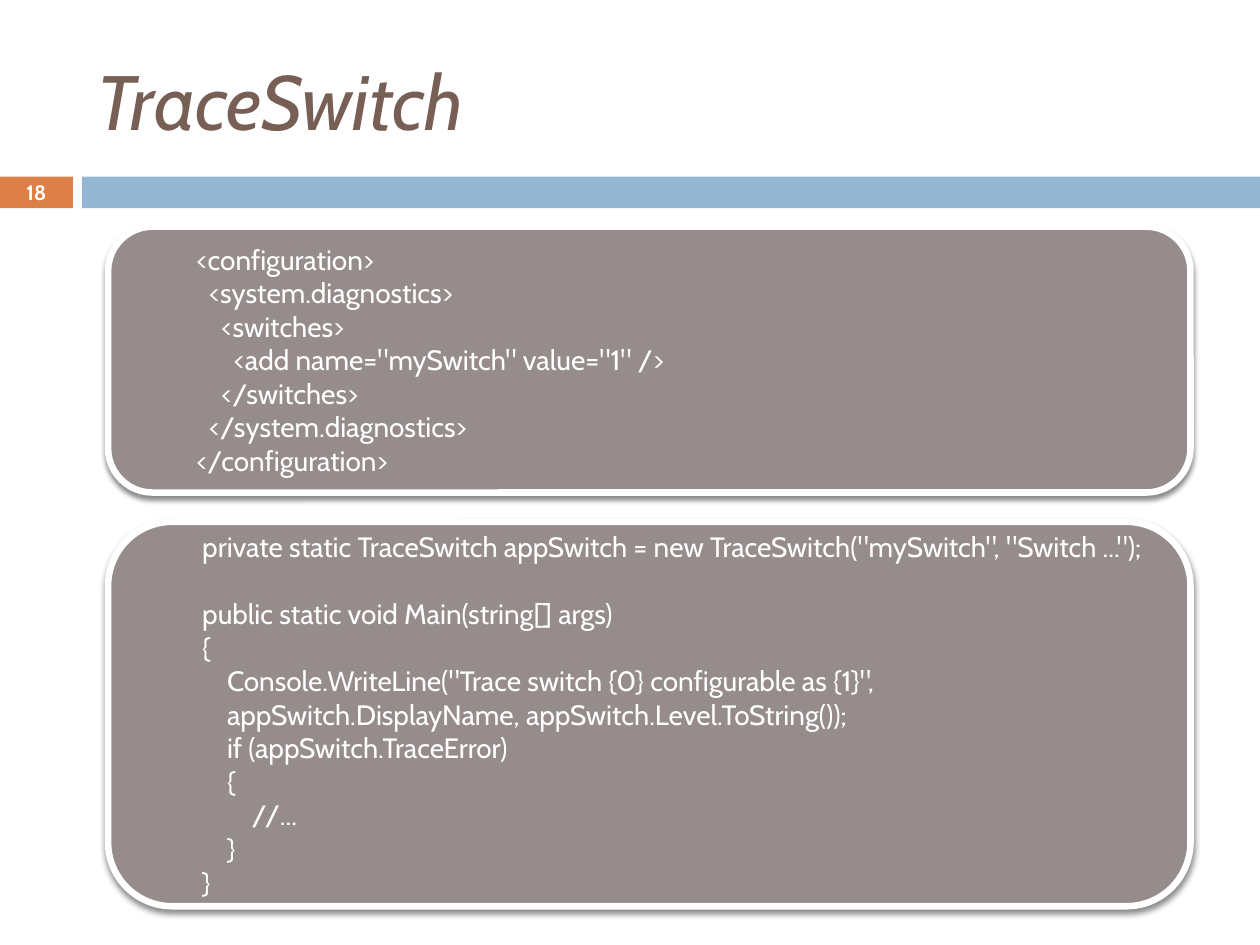
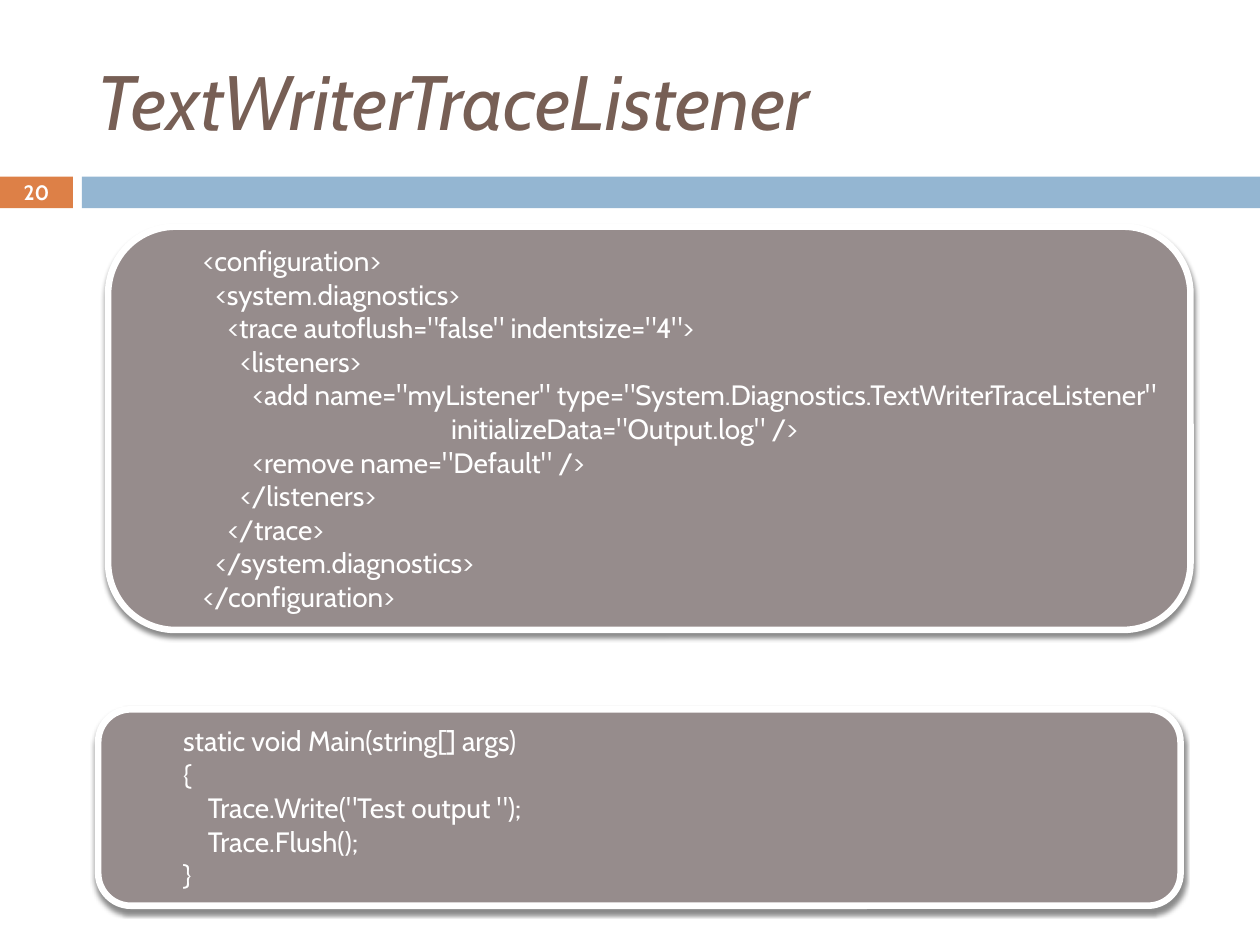
from pptx import Presentation
from pptx.dml.color import RGBColor
from pptx.enum.shapes import MSO_SHAPE as Shape
from pptx.enum.text import MSO_ANCHOR as Anchor, MSO_AUTO_SIZE as AutoSize, PP_ALIGN as Align
from pptx.oxml import parse_xml
from pptx.oxml.ns import nsdecls
from pptx.util import Cm, Pt

# Content: every code line is (indent steps, text); an empty text leaves a line free
SLIDES = [
    {
        "title": "TraceSwitch",
        "number": "18",
        "panels": [
            {
                "box": (2.18, 4.57, 5.36),  # left, top, height
                "code": [
                    (0, '<configuration>'),
                    (1, '<system.diagnostics>'),
                    (2, '<switches>'),
                    (3, '<add name="mySwitch" value="1" />'),
                    (2, '</switches>'),
                    (1, '</system.diagnostics>'),
                    (0, '</configuration>'),
                ],
            },
            {
                "box": (2.18, 10.52, 7.75),
                "code": [
                    (0, 'private static TraceSwitch appSwitch = new TraceSwitch("mySwitch", "Switch ...");'),
                    (0, ''),
                    (0, 'public static void Main(string[] args)'),
                    (0, '{'),
                    (2, 'Console.WriteLine("Trace switch {0} configurable as {1}",'),
                    (2, 'appSwitch.DisplayName, appSwitch.Level.ToString());'),
                    (2, 'if (appSwitch.TraceError)'),
                    (2, '{'),
                    (4, '//...'),
                    (2, '}'),
                    (0, '}'),
                ],
            },
        ],
    },
    {
        "title": "TextWriterTraceListener",
        "number": "20",
        "panels": [
            {
                "box": (2.18, 4.57, 8.13),
                "code": [
                    (0, '<configuration>'),
                    (1, '<system.diagnostics>'),
                    (2, '<trace autoflush="false" indentsize="4">'),
                    (3, '<listeners>'),
                    (4, '<add name="myListener" type="System.Diagnostics.TextWriterTraceListener"'),
                    (20, 'initializeData="Output.log" />'),
                    (4, '<remove name="Default" />'),
                    (3, '</listeners>'),
                    (2, '</trace>'),
                    (1, '</system.diagnostics>'),
                    (0, '</configuration>'),
                ],
            },
            {
                "box": (1.98, 14.3, 3.96),
                "code": [
                    (0, 'static void Main(string[] args)'),
                    (0, '{'),
                    (2, 'Trace.Write("Test output ");'),
                    (2, 'Trace.Flush();'),
                    (0, '}'),
                ],
            },
        ],
    },
]

# Shared style
FONT = "Cabin"
TITLE_COLOR, WHITE = "775F55", "FFFFFF"
ORANGE, BLUE, PANEL_COLOR = "DD8047", "94B6D2", "968C8C"
SLIDE_WIDTH, SLIDE_HEIGHT = 25.4, 19.05
BAND_TOP, BAND_HEIGHT = 3.56, 0.64
NUMBER_WIDTH, BAND_LEFT = 1.47, 1.65
PANEL_WIDTH = 21.82
CODE_INDENT, INDENT_STEP = 1.27, 0.25
CODE_LINE = Pt(19.2)
SHADOW = (
    f'<a:outerShdw {nsdecls("a")} blurRad="{Pt(3)}" dist="{Pt(2.4)}" dir="5400000" rotWithShape="0">'
    '<a:srgbClr val="000000"><a:alpha val="45000"/></a:srgbClr></a:outerShdw>'
)


def color(value):
    return RGBColor.from_string(value)


def lengths(*values):
    return [Cm(value) for value in values]


def style_runs(paragraph, size, font_color, bold=False, italic=False):
    for run in paragraph.runs:
        font = run.font
        font.name, font.size = FONT, Pt(size)
        font.bold, font.italic = bold, italic
        font.color.rgb = color(font_color)


def add_filled(slide, kind, box, fill):
    shape = slide.shapes.add_shape(kind, *lengths(*box))
    shape.shadow.inherit = False
    shape.fill.solid()
    shape.fill.fore_color.rgb = color(fill)
    shape.line.fill.background()
    return shape


def add_frame(slide, title, number):
    # Bands under the title
    add_filled(slide, Shape.RECTANGLE, (0, BAND_TOP, NUMBER_WIDTH, BAND_HEIGHT), ORANGE)
    add_filled(slide, Shape.RECTANGLE,
               (BAND_LEFT, BAND_TOP, SLIDE_WIDTH - BAND_LEFT, BAND_HEIGHT), BLUE)

    # Title
    heading = slide.shapes.title
    heading.left, heading.top, heading.width, heading.height = lengths(1.7, 0.64, 22.66, 2.74)
    frame = heading.text_frame
    frame.text = title
    frame.auto_size = AutoSize.NONE
    frame.vertical_anchor = Anchor.MIDDLE
    frame.paragraphs[0].alignment = Align.LEFT
    style_runs(frame.paragraphs[0], 44, TITLE_COLOR, italic=True)

    # Slide number
    number_box = slide.shapes.add_textbox(*lengths(0, 3.53, NUMBER_WIDTH, 0.69))
    frame = number_box.text_frame
    frame.text = number
    frame.word_wrap = True
    frame.vertical_anchor = Anchor.MIDDLE
    frame.margin_top = frame.margin_bottom = 0
    frame.paragraphs[0].alignment = Align.CENTER
    style_runs(frame.paragraphs[0], 11.9, WHITE, bold=True)


def add_code_panel(slide, box, code):
    left, top, height = box
    panel = add_filled(slide, Shape.ROUNDED_RECTANGLE, (left, top, PANEL_WIDTH, height), PANEL_COLOR)
    panel.line.color.rgb = color(WHITE)
    panel.line.width = Pt(3.75)
    panel._element.spPr.find("{*}effectLst").append(parse_xml(SHADOW))

    frame = panel.text_frame
    frame.word_wrap = True
    frame.vertical_anchor = Anchor.MIDDLE
    frame.margin_right = 0
    frame.text = "\n".join(text for _, text in code if text)
    paragraphs = iter(frame.paragraphs)
    space_before = 0
    for steps, text in code:
        if not text:
            space_before = CODE_LINE
            continue
        paragraph = next(paragraphs)
        paragraph.level = 1
        paragraph.alignment = Align.LEFT
        paragraph.space_before = space_before
        properties = paragraph._p.get_or_add_pPr()
        properties.set("marL", str(Cm(CODE_INDENT + steps * INDENT_STEP)))
        properties.set("indent", "0")
        style_runs(paragraph, 16, WHITE)
        space_before = 0


def main():
    presentation = Presentation()
    presentation.slide_width, presentation.slide_height = lengths(SLIDE_WIDTH, SLIDE_HEIGHT)
    title_only = presentation.slide_layouts[5]
    for content in SLIDES:
        slide = presentation.slides.add_slide(title_only)
        add_frame(slide, content["title"], content["number"])
        for panel in content["panels"]:
            add_code_panel(slide, panel["box"], panel["code"])
    presentation.save("out.pptx")


if __name__ == "__main__":
    main()
